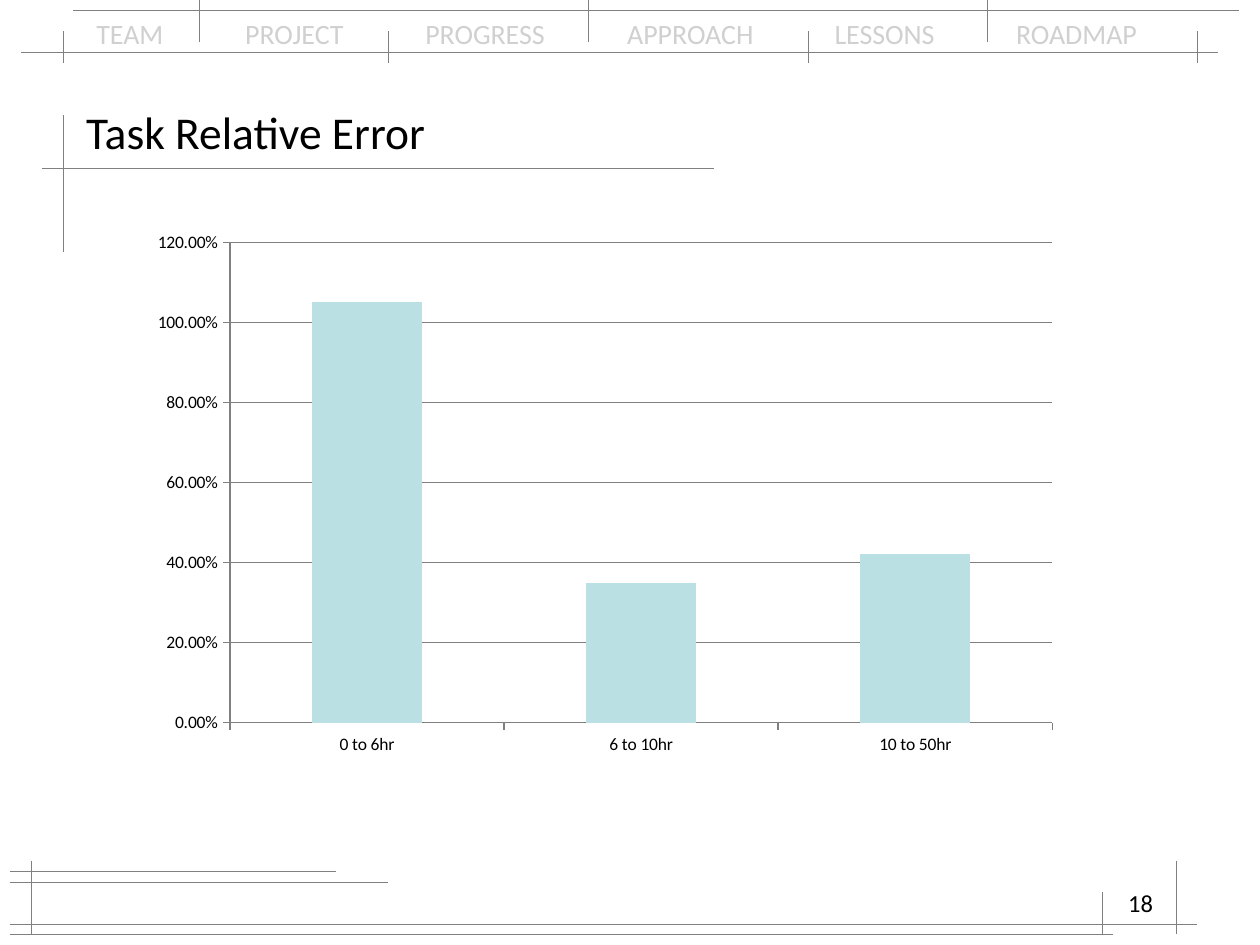
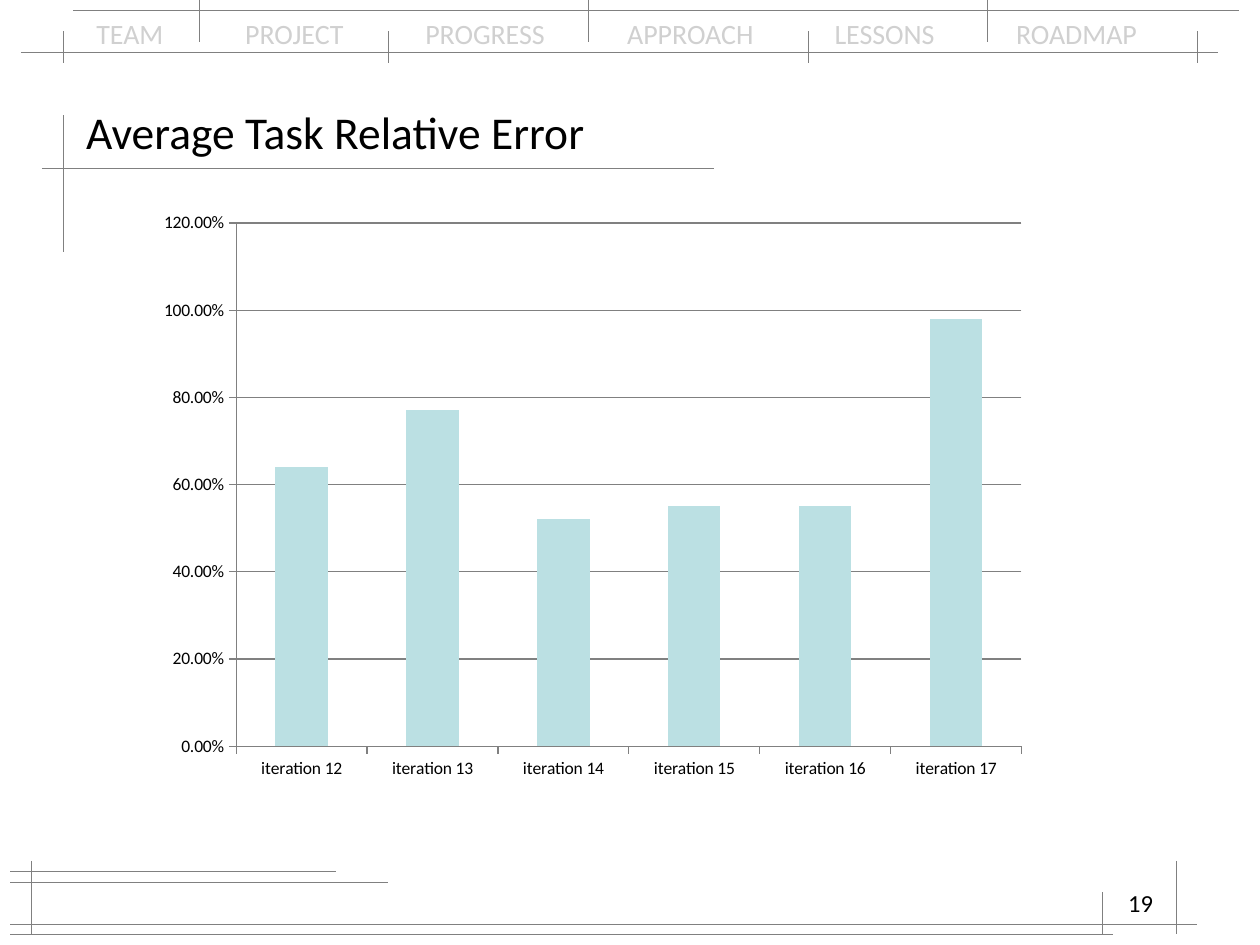
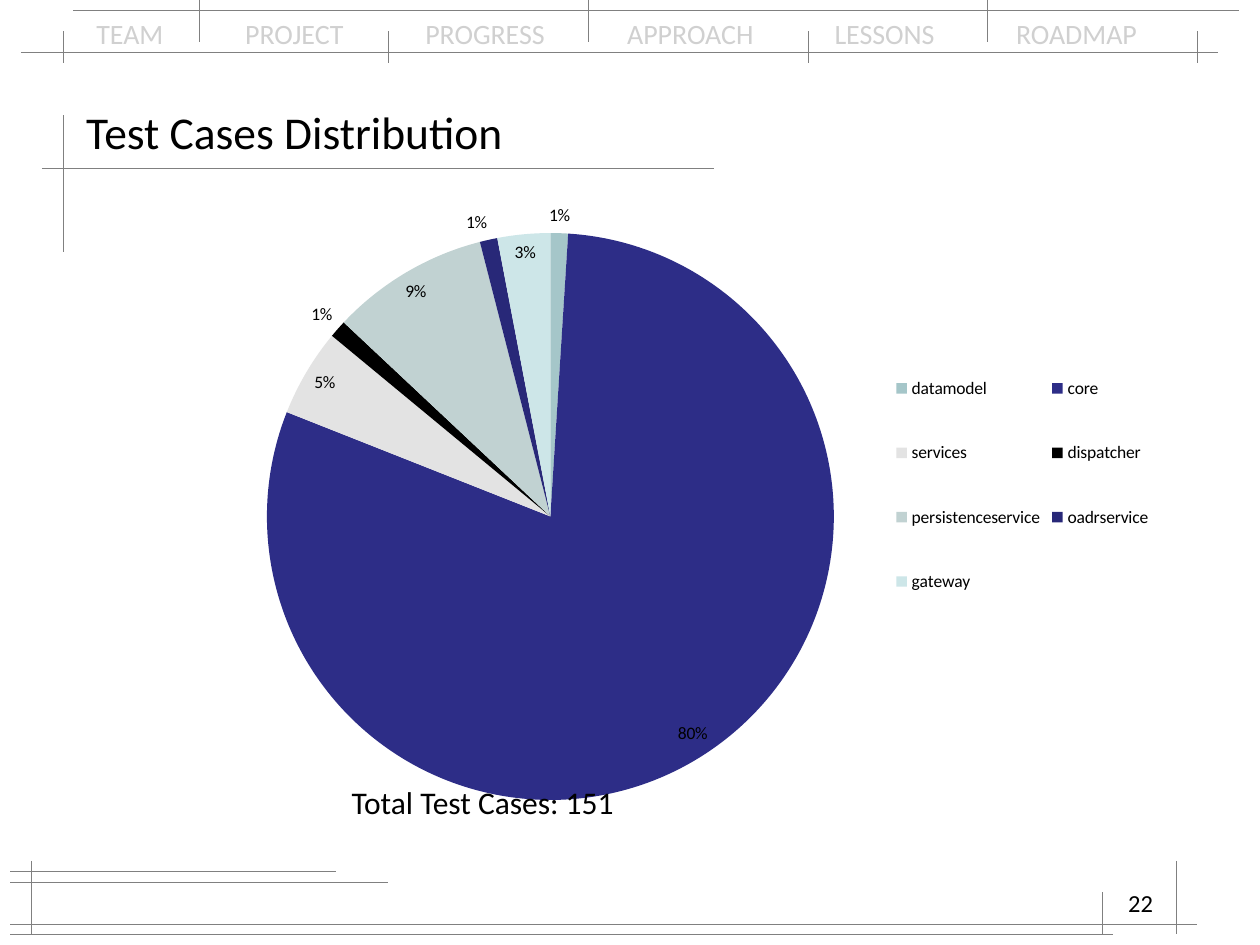
from lxml import etree
from pptx import Presentation
from pptx.chart.data import CategoryChartData as Data
from pptx.dml.color import RGBColor
from pptx.enum.chart import XL_CHART_TYPE as Kind, XL_LABEL_POSITION as Spot
from pptx.enum.chart import XL_LEGEND_POSITION as Side, XL_TICK_MARK as Tick
from pptx.enum.shapes import MSO_CONNECTOR as Link
from pptx.enum.text import MSO_ANCHOR as Anchor, PP_ALIGN as Align
from pptx.oxml.ns import qn
from pptx.util import Cm, Pt

FONT = "Calibri"
BLACK, GREY, PALE, AQUA = "000000", "808080", "D0D0D0", "BBE0E3"
SLICES = ["A5C6C9", "2D2D87", "E3E3E3", "000000", "C1D2D2", "282878", "CDE6E8"]

MENU = ["TEAM", "PROJECT", "PROGRESS", "APPROACH", "LESSONS", "ROADMAP"]
TABS = [3, 6.63, 10.7, 14.88, 18.54]  # cm from the start of the menu text

# Grid lines of the frame: (left, top, right, bottom) in grid steps
FRAME = [
    (2, 5, 116, 5), (7, 1, 118, 1),                         # menu band
    (6, 11, 6, 24), (4, 16, 68, 16),                        # title corner
    (1, 84, 37, 84), (1, 88, 114, 88), (1, 83, 32, 83), (1, 89, 106, 89),
    (3, 82, 3, 89), (112, 82, 112, 89), (105, 85, 105, 89),  # footer
]
FRAME += [(x, 3, x, 6) for x in (6, 37, 77, 114)]
FRAME += [(x, -3, x, 4) for x in (19, 56, 94)]


def grid(*steps):
    """Turn steps of a 120 by 90 slide grid into lengths."""
    return [Cm(n * 25.4 / 120) for n in steps]


def tint(code):
    return RGBColor.from_string(code)


def place(part, x, y, w, h, inner=False):
    """Fix the layout of a plot area or legend, in shares of the chart."""
    for old in part.findall(qn("c:layout")):
        part.remove(old)
    layout = etree.Element(qn("c:layout"))
    manual = etree.SubElement(layout, qn("c:manualLayout"))
    items = [("layoutTarget", "inner")] if inner else []
    items += [("xMode", "edge"), ("yMode", "edge")]
    items += [("x", x), ("y", y), ("w", w), ("h", h)]
    for name, value in items:
        etree.SubElement(manual, qn("c:" + name)).set("val", str(value))
    part.insert(0 if inner else 1, layout)


class Deck:
    def __init__(self):
        self.prs = Presentation()
        self.prs.slide_width, self.prs.slide_height = Cm(25.4), Cm(19.05)

    def page(self, title, number):
        """Start a slide with the shared menu, frame, title and number."""
        self.slide = self.prs.slides.add_slide(self.prs.slide_layouts[5])
        self.menu()
        for ends in FRAME:
            self.line(ends)
        self.title(title)
        self.text(str(number), (86, 84, 25, 6), 14, align=Align.RIGHT)

    def style(self, para, size, color=BLACK, align=Align.LEFT):
        para.alignment = align
        for run in para.runs:
            run.font.name, run.font.size = FONT, Pt(size)
            run.font.color.rgb = tint(color)

    def title(self, words):
        shape = self.slide.shapes.title
        shape.left, shape.top, shape.width, shape.height = grid(7, 9, 106, 7)
        frame = shape.text_frame
        frame.text = words
        frame.vertical_anchor = Anchor.MIDDLE
        self.style(frame.paragraphs[0], 26)

    def text(self, words, box, size, color=BLACK, align=Align.LEFT):
        frame = self.slide.shapes.add_textbox(*grid(*box)).text_frame
        frame.word_wrap = True
        frame.text = words
        para = frame.paragraphs[0]
        self.style(para, size, color, align)
        return para

    def menu(self):
        para = self.text("\t".join(MENU), (8, 1, 104, 4.4), 16, PALE)
        stops = etree.SubElement(para._p.get_or_add_pPr(), qn("a:tabLst"))
        for stop in TABS:
            tab = etree.SubElement(stops, qn("a:tab"))
            tab.set("pos", str(int(Cm(stop))))
            tab.set("algn", "l")

    def line(self, ends):
        line = self.slide.shapes.add_connector(Link.STRAIGHT, *grid(*ends))
        line.line.color.rgb = tint(GREY)
        line.line.width = Pt(0.3)
        etree.SubElement(line._element.spPr, qn("a:effectLst"))

    def chart(self, kind, box, cats, vals, plot):
        data = Data()
        data.categories = cats
        data.add_series("Series 1", vals)
        chart = self.slide.shapes.add_chart(kind, *grid(*box), data).chart
        chart.has_title = chart.has_legend = False
        chart.font.name, chart.font.size = FONT, Pt(10)
        chart.font.color.rgb = tint(BLACK)
        place(chart._chartSpace.chart.plotArea, *plot, inner=True)
        return chart

    def bars(self, box, cats, vals, plot):
        chart = self.chart(Kind.COLUMN_CLUSTERED, box, cats, vals, plot)
        bars = chart.plots[0]
        bars.gap_width, bars.vary_by_categories = 150, False
        fill = bars.series[0].format.fill
        fill.solid()
        fill.fore_color.rgb = tint(AQUA)
        scale = chart.value_axis
        scale.minimum_scale, scale.maximum_scale, scale.major_unit = 0, 1.2, 0.2
        scale.has_major_gridlines = True
        scale.tick_labels.number_format = "0.00%"
        scale.tick_labels.number_format_is_linked = False
        for axis in (chart.category_axis, scale):
            axis.major_tick_mark = Tick.OUTSIDE
        for part in (chart.category_axis, scale, scale.major_gridlines):
            part.format.line.color.rgb = tint(GREY)
            part.format.line.width = Pt(0.75)

    def pie(self, box, cats, vals, plot, key):
        chart = self.chart(Kind.PIE, box, cats, vals, plot)
        chart.has_legend = True
        chart.legend.position = Side.RIGHT
        chart.legend.include_in_layout = False
        place(chart.legend._element, *key)
        pie = chart.plots[0]
        pie.vary_by_categories = True
        for i, color in enumerate(SLICES):
            fill = pie.series[0].points[i].format.fill
            fill.solid()
            fill.fore_color.rgb = tint(color)
        labels = pie.series[0].data_labels
        labels.show_percentage, labels.show_value = True, False
        labels.number_format, labels.number_format_is_linked = "0%", False
        labels.position = Spot.BEST_FIT


def main():
    deck = Deck()

    deck.page("Task Relative Error", 18)
    deck.bars((13, 21, 89, 52), ["0 to 6hr", "6 to 10hr", "10 to 50hr"],
              [1.05, 0.35, 0.42], (0.1, 0.04, 0.88, 0.88))

    deck.page("Average Task Relative Error", 19)
    deck.bars((14, 19, 85, 56), [f"iteration {n}" for n in range(12, 18)],
              [0.64, 0.77, 0.52, 0.55, 0.55, 0.98], (0.1, 0.04, 0.88, 0.89))

    deck.page("Test Cases Distribution", 22)
    deck.pie((10, 18, 101, 60),
             ["datamodel", "core", "services", "dispatcher",
              "persistenceservice", "oadrservice", "gateway"],
             [1, 80, 5, 1, 9, 1, 3],
             (0.15, 0.07, 0.54, 0.9), (0.74, 0.23, 0.25, 0.48))
    deck.text("Total Test Cases: 151", (32.3, 74, 34, 5), 18)

    deck.prs.save("out.pptx")


if __name__ == "__main__":
    main()
